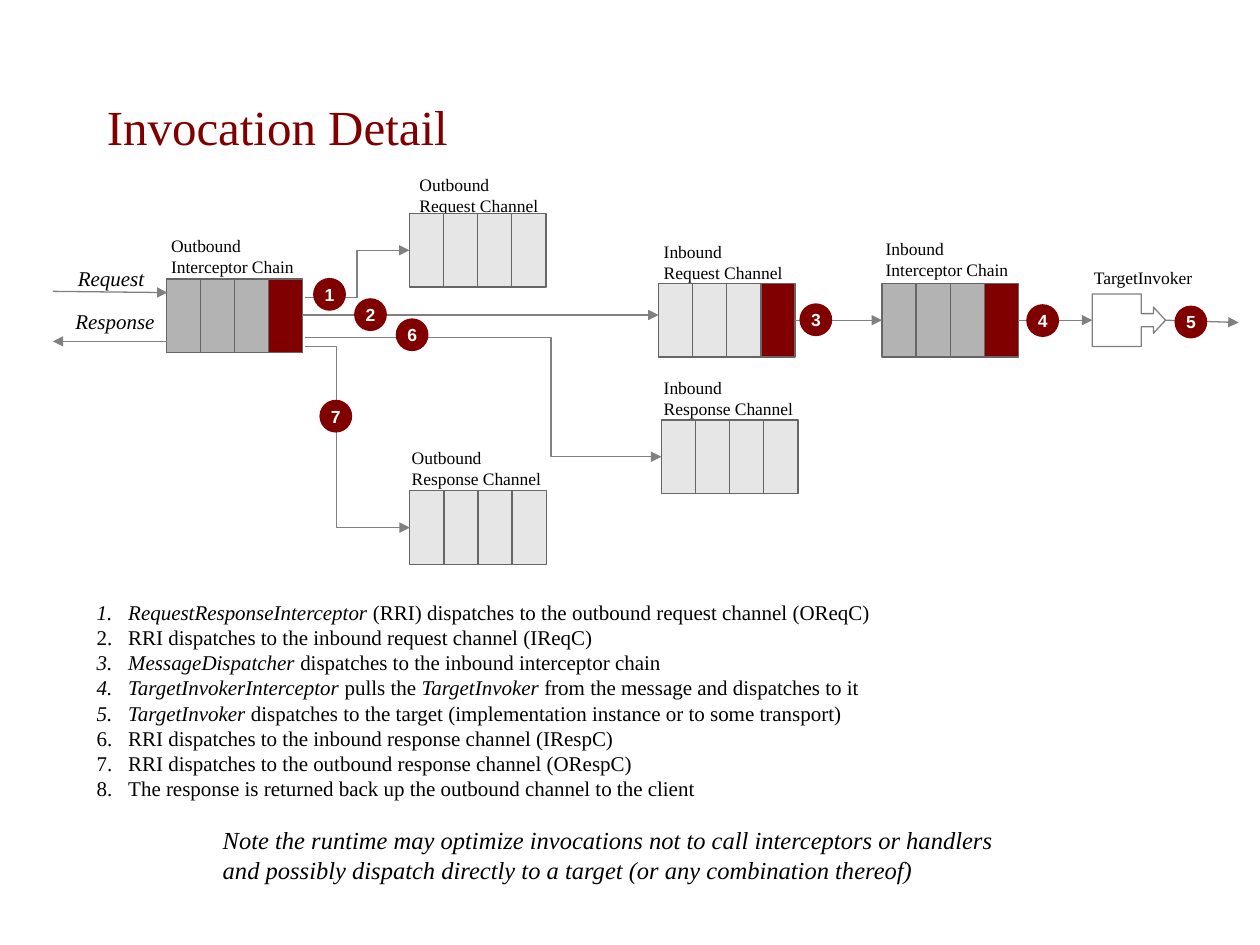
from dataclasses import dataclass

from lxml import etree
from pptx import Presentation
from pptx import util as u
from pptx.dml.color import RGBColor
from pptx.enum import shapes, text
from pptx.oxml import ns

Pt = u.Pt


@dataclass(frozen=True)
class Theme:
    accent: str = "800000"
    ink: str = "000000"
    paper: str = "FFFFFF"
    arrow: str = "808080"
    edge: str = "666666"
    interceptor: str = "B3B3B3"
    handler: str = "E6E6E6"
    serif: str = "Times New Roman"
    sans: str = "Arial"
    title: int = 28
    note: int = 14
    body: int = 12
    label: int = 10
    line: float = 0.75


THEME = Theme()
CELLS = 4
CHAIN_SIZE = (78, 42)
BADGE = 18

CHAINS = {
    "outbound interceptors": ((95, 159.5), (90.7, 131), "Outbound\nInterceptor Chain", THEME.interceptor, True),
    "outbound requests": ((234, 122), (232.6, 95.8), "Outbound\nRequest Channel", THEME.handler, False),
    "inbound requests": ((376.3, 162), (372.2, 133.9), "Inbound\nRequest Channel", THEME.handler, True),
    "inbound interceptors": ((504, 162), (499, 132.5), "Inbound\nInterceptor Chain", THEME.interceptor, True),
    "inbound responses": ((378, 240), (372.2, 211.7), "Inbound\nResponse Channel", THEME.handler, False),
    "outbound responses": ((234.2, 280.5), (228.2, 252), "Outbound\nResponse Channel", THEME.handler, False),
}

BADGES = {
    "1": (179.3, 159.2), "2": (202.7, 170.8), "3": (457.2, 173.7), "4": (586.8, 174.2),
    "5": (671.5, 175), "6": (226.5, 182.3), "7": (182.9, 228.8),
}

STEPS = [
    [("RequestResponseInterceptor", True),
     (" (RRI) dispatches to the outbound request channel (OReqC)", False)],
    [("RRI dispatches to the inbound request channel (IReqC)", False)],
    [("MessageDispatcher ", True), ("dispatches to the inbound interceptor chain", False)],
    [("TargetInvokerInterceptor ", True), ("pulls the ", False),
     ("TargetInvoker ", True), ("from the message and dispatches to it", False)],
    [("TargetInvoker ", True),
     ("dispatches to the target (implementation instance or to some transport)", False)],
    [("RRI dispatches to the inbound response channel (IRespC)", False)],
    [("RRI dispatches to the outbound response channel (ORespC)", False)],
    [("The response is returned back up the outbound channel to the client", False)],
]

NOTE = ("Note the runtime may optimize invocations not to call interceptors or handlers "
        "and possibly dispatch directly to a target (or any combination thereof)")


def points(*lengths):
    return [Pt(length) for length in lengths]


def style_span(span, size, color=THEME.ink, font=THEME.serif, italic=False, bold=False):
    span.font.size = Pt(size)
    span.font.name = font
    span.font.color.rgb = RGBColor.from_string(color)
    span.font.italic = italic
    span.font.bold = bold


def add_text(page, box, words, size, leading=1.0, anchor=text.MSO_ANCHOR.TOP, **style):
    frame = page.shapes.add_textbox(*points(*box)).text_frame
    frame.word_wrap = True
    frame.vertical_anchor = anchor
    frame.text = words
    for para in frame.paragraphs:
        para.line_spacing = leading
        for span in para.runs:
            style_span(span, size, **style)


def add_block(page, kind, box, fill, edge):
    block = page.shapes.add_shape(kind, *points(*box))
    block.shadow.inherit = False
    block.fill.solid()
    block.fill.fore_color.rgb = RGBColor.from_string(fill)
    block.line.color.rgb = RGBColor.from_string(edge)
    block.line.width = Pt(THEME.line)
    return block


def add_chain(page, box, label_at, label, fill, ends_dark):
    left, top, width, height = box
    add_text(page, (*label_at, 96, 31.7), label, THEME.label)
    step = width / CELLS
    cells = []
    for index in range(CELLS):
        dark = ends_dark and index == CELLS - 1
        cells.append(add_block(page, shapes.MSO_SHAPE.RECTANGLE,
                               (left + index * step, top, step, height),
                               THEME.accent if dark else fill, THEME.edge))
    return cells


def add_arrow(page, start, end, bend=None, source=None, target=None):
    kind = shapes.MSO_CONNECTOR.STRAIGHT if bend is None else shapes.MSO_CONNECTOR.ELBOW
    arrow = page.shapes.add_connector(kind, *points(*start, *end))
    if source is not None:
        arrow.begin_connect(source, 3)
    if target is not None:
        arrow.end_connect(target, 1)
    arrow.line.color.rgb = RGBColor.from_string(THEME.arrow)
    arrow.line.width = Pt(THEME.line)
    properties = arrow._element.spPr
    outline = properties.find(ns.qn("a:ln"))
    etree.SubElement(outline, ns.qn("a:tailEnd"), type="triangle")
    etree.SubElement(properties, ns.qn("a:effectLst"))
    if bend is not None:
        guides = properties.find(ns.qn("a:prstGeom")).find(ns.qn("a:avLst"))
        etree.SubElement(guides, ns.qn("a:gd"), name="adj1", fmla=f"val {round(bend * 100000)}")


def add_badge(page, box, number):
    badge = add_block(page, shapes.MSO_SHAPE.OVAL, box, THEME.accent, THEME.accent)
    frame = badge.text_frame
    frame.margin_left = frame.margin_right = frame.margin_top = frame.margin_bottom = 0
    frame.word_wrap = False
    frame.vertical_anchor = text.MSO_ANCHOR.MIDDLE
    para = frame.paragraphs[0]
    para.text = number
    para.alignment = text.PP_ALIGN.CENTER
    style_span(para.runs[0], THEME.label, THEME.paper, THEME.sans, bold=True)


def add_invoker(page, box):
    left, top, width, height = box
    add_text(page, (left - 6.2, top - 16.8, 84, 17.3), "TargetInvoker", THEME.label, leading=0.8)
    invoker = add_block(page, shapes.MSO_SHAPE.RIGHT_ARROW_CALLOUT, box, THEME.paper, THEME.arrow)
    for index, value in enumerate((0.25, 0.25, 0.23, 0.67)):
        invoker.adjustments[index] = value
    return invoker


def add_client(page, box):
    left, top, width, height = box
    right, bottom = left + width, top + height
    add_text(page, (left + 7.2, top - 18.3, 64, 21.6), "Request", THEME.body, italic=True)
    add_text(page, (left + 5.8, bottom - 22.3, 64, 21.6), "Response", THEME.body, italic=True)
    add_arrow(page, (left, top), (right, top + 0.7))
    add_arrow(page, (right, bottom), (left, bottom))


def add_diagram(page):
    chains = {name: add_chain(page, (*place, *CHAIN_SIZE), *rest)
              for name, (place, *rest) in CHAINS.items()}
    invoker = add_invoker(page, (624.2, 168, 41.8, 30))
    add_client(page, (30.2, 166.5, 65.5, 28.6))
    add_arrow(page, (174.2, 169.9), (234, 143), bend=0.5)
    add_arrow(page, (172.8, 180), (376.3, 180))
    add_arrow(page, (174.2, 193), (378, 261), bend=0.69)
    add_arrow(page, (174.2, 198), (234.2, 301.5), bend=0.3)
    inbound = chains["inbound interceptors"]
    add_arrow(page, (454.3, 183), (504, 183), source=chains["inbound requests"][-1], target=inbound[0])
    add_arrow(page, (582, 183), (624.2, 183), source=inbound[-1], target=invoker)
    add_arrow(page, (666, 183), (707.8, 184.3), source=invoker)
    for number, place in BADGES.items():
        add_badge(page, (*place, BADGE, BADGE), number)


def add_steps(page, box):
    frame = page.shapes.add_textbox(*points(*box)).text_frame
    frame.word_wrap = True
    for index, step in enumerate(STEPS):
        para = frame.paragraphs[0] if index == 0 else frame.add_paragraph()
        for words, italic in step:
            span = para.add_run()
            span.text = words
            style_span(span, THEME.body, italic=italic)
        properties = para._p.get_or_add_pPr()
        properties.set("marL", str(Pt(18)))
        properties.set("indent", str(-Pt(18)))
        etree.SubElement(properties, ns.qn("a:buAutoNum"), type="arabicPeriod")


def main():
    deck = Presentation()
    deck.slide_width, deck.slide_height = points(720, 540)
    page = deck.slides.add_slide(deck.slide_layouts[6])
    add_text(page, (54, 36, 612, 72), "Invocation Detail", THEME.title,
             anchor=text.MSO_ANCHOR.MIDDLE, color=THEME.accent)
    add_diagram(page)
    add_steps(page, (48.2, 339, 470, 122.4))
    add_text(page, (120.2, 468, 462.2, 41), NOTE, THEME.note, italic=True)
    deck.save("out.pptx")


if __name__ == "__main__":
    main()
